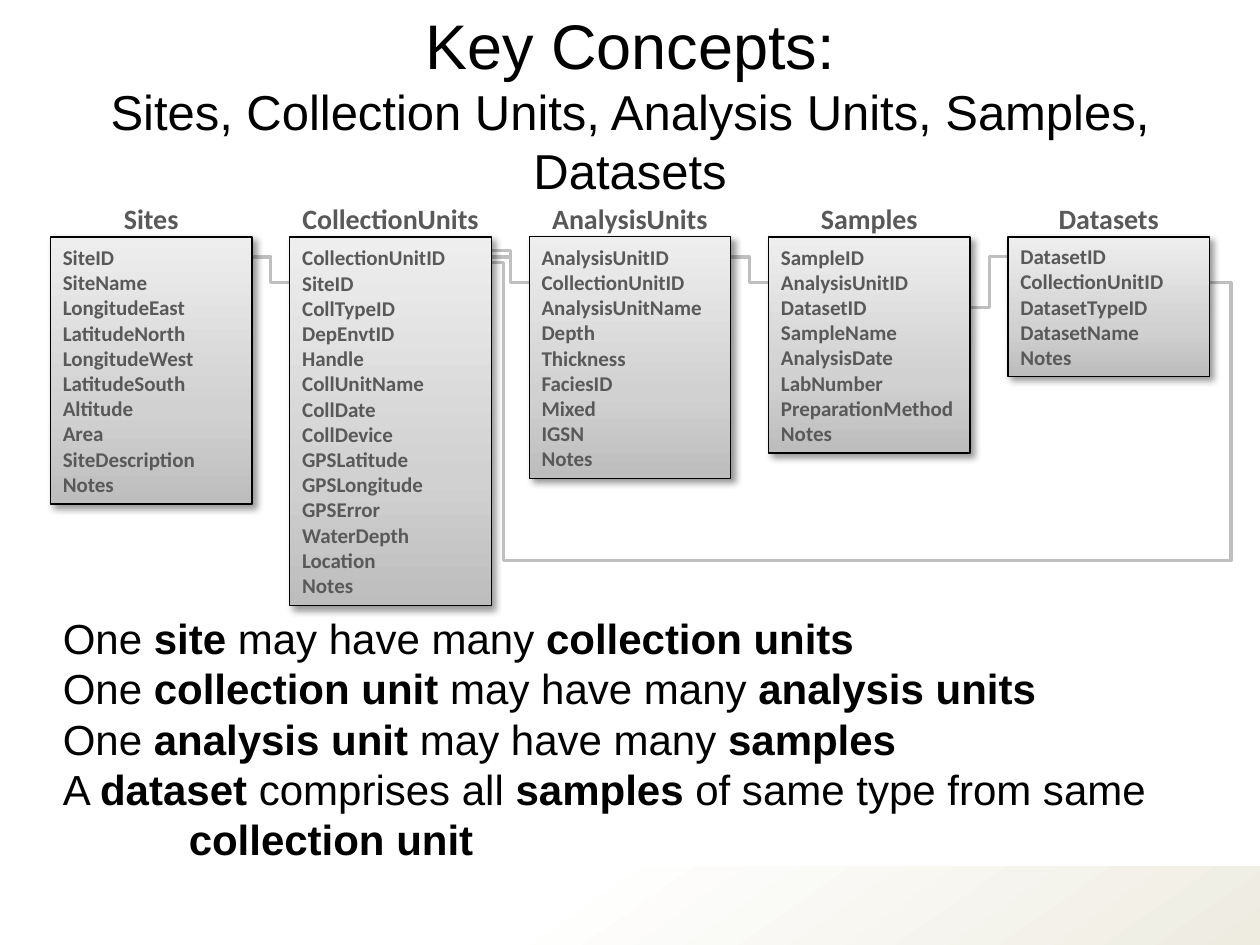
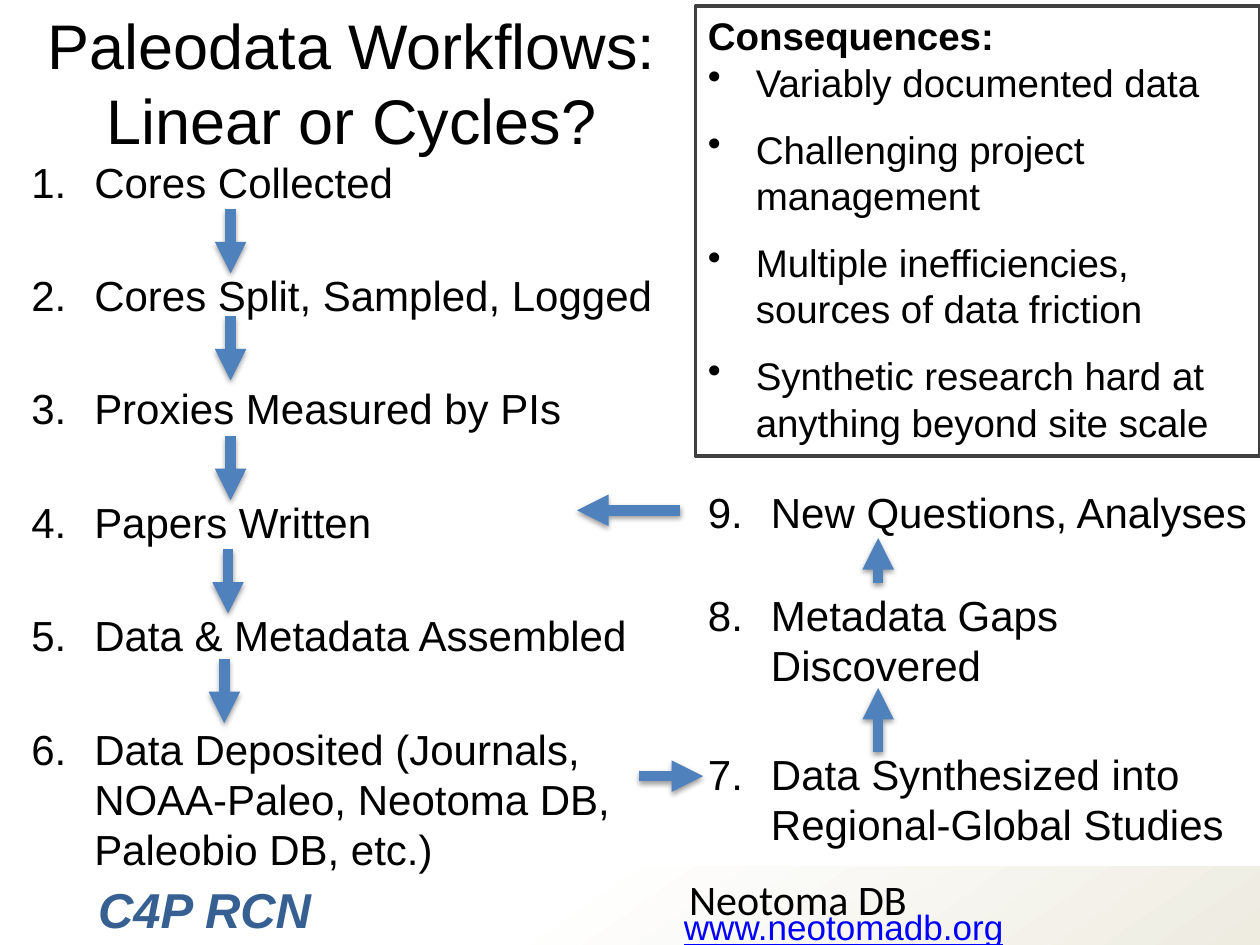
from pptx import Presentation
from pptx.dml.color import RGBColor
from pptx.enum.shapes import MSO_CONNECTOR, MSO_SHAPE
from pptx.enum.text import MSO_ANCHOR, MSO_AUTO_SIZE, PP_ALIGN
from pptx.oxml import parse_xml
from pptx.oxml.ns import nsdecls, qn
from pptx.util import Inches, Pt

RECTANGLE = MSO_SHAPE.RECTANGLE
ELBOW, STRAIGHT = MSO_CONNECTOR.ELBOW, MSO_CONNECTOR.STRAIGHT
TOP, MIDDLE = MSO_ANCHOR.TOP, MSO_ANCHOR.MIDDLE
LEFT, CENTER = PP_ALIGN.LEFT, PP_ALIGN.CENTER
FIT_SHAPE, NO_FIT = MSO_AUTO_SIZE.SHAPE_TO_FIT_TEXT, MSO_AUTO_SIZE.NONE

COLORS = {
    "text": "000000", "field": "595959", "link": "BFBFBF", "frame": "404040",
    "arrow": "4F81BD", "project": "376092", "url": "0000FF",
}
BAND_STOPS = [(43, "FFFFFF"), (100, "EEECE1")]
TABLE_STOPS = [(0, "BDBDBD"), (35, "D1D1D1"), (100, "EEEEEE")]

TABLES = [
    ("Sites", "SiteID SiteName LongitudeEast LatitudeNorth LongitudeWest "
     "LatitudeSouth Altitude Area SiteDescription Notes"),
    ("CollectionUnits", "CollectionUnitID SiteID CollTypeID DepEnvtID Handle "
     "CollUnitName CollDate CollDevice GPSLatitude GPSLongitude GPSError "
     "WaterDepth Location Notes"),
    ("AnalysisUnits", "AnalysisUnitID CollectionUnitID AnalysisUnitName Depth "
     "Thickness FaciesID Mixed IGSN Notes"),
    ("Samples", "SampleID AnalysisUnitID DatasetID SampleName AnalysisDate "
     "LabNumber PreparationMethod Notes"),
    ("Datasets", "DatasetID CollectionUnitID DatasetTypeID DatasetName Notes"),
]
# Table on the left, its row, row in the next table, shift of the start
LINKS = [(1, 0, 1, 0), (3, 2, 0, 0), (2, 0, 1, 0), (1, 0, 1, -0.05), (0, 0, 1, 0)]
RELATIONSHIPS = [
    "One *site* may have many *collection units*",
    "One *collection unit *may have many *analysis units*",
    "One *analysis unit* may have many *samples*",
    "A *dataset* comprises all *samples* of same type from same *collection unit*",
]
STEPS = [
    "Cores Collected", "Cores Split, Sampled, Logged", "Proxies Measured by PIs",
    "Papers Written", "Data & Metadata Assembled",
    "Data Deposited (Journals, NOAA-Paleo, Neotoma DB, Paleobio DB, etc.)",
]
CONSEQUENCES = [
    "Variably documented data", "Challenging project management",
    "Multiple inefficiencies, sources of data friction",
    "Synthetic research hard at anything beyond site scale",
]


def rgb(name):
    return RGBColor.from_string(COLORS[name])


def format_run(run, size, color="text", font="Arial", bold=False):
    run.font.name = font
    run.font.size = Pt(size)
    run.font.bold = bold
    run.font.color.rgb = rgb(color)


def write(text_frame, lines, size, color="text", font="Arial", bold=False, align=LEFT):
    """Write one paragraph a line; parts between asterisks switch the bold."""
    text_frame.auto_size = FIT_SHAPE
    for index, line in enumerate(lines):
        paragraph = text_frame.paragraphs[0] if index == 0 else text_frame.add_paragraph()
        paragraph.alignment = align
        for part_index, part in enumerate(line.split("*")):
            if part:
                run = paragraph.add_run()
                run.text = part
                format_run(run, size, color, font, bold != (part_index % 2 == 1))


def add_text(slide, box, lines, size, wrap=True, **style):
    text_box = slide.shapes.add_textbox(*map(Inches, box))
    text_box.text_frame.word_wrap = wrap
    write(text_box.text_frame, lines, size, **style)
    return text_box.text_frame


def hang(paragraph, indent, marker=None, space_after=None):
    """Give a hanging indent, with an optional bullet element as XML."""
    properties = paragraph._p.get_or_add_pPr()
    properties.set("marL", str(Inches(indent)))
    properties.set("indent", str(-Inches(indent)))
    if marker:
        properties.append(parse_xml(marker))
    if space_after is not None:
        paragraph.space_after = Pt(space_after)


def set_gradient(shape, stops, angle):
    shape.fill.gradient()
    stop_xml = "".join(
        f'<a:gs pos="{position * 1000}"><a:srgbClr val="{color}"/></a:gs>'
        for position, color in stops)
    gradient = parse_xml(
        f'<a:gradFill {nsdecls("a")} rotWithShape="1"><a:gsLst>{stop_xml}</a:gsLst>'
        f'<a:lin ang="{angle * 60000}" scaled="0"/></a:gradFill>')
    properties = shape._element.spPr
    properties.replace(properties.find(qn("a:gradFill")), gradient)


def set_effects(shape, shadow=None):
    """Replace the theme shadow by (opacity, blur, distance, angle) or by none."""
    properties = shape._element.spPr
    effects = properties.find(qn("a:effectLst"))
    if effects is not None:
        properties.remove(effects)
    content = ""
    if shadow:
        opacity, blur, distance, angle = shadow
        content = (
            f'<a:outerShdw blurRad="{Pt(blur)}" dist="{Pt(distance)}" '
            f'dir="{angle * 60000}" rotWithShape="0"><a:srgbClr val="000000">'
            f'<a:alpha val="{opacity * 1000}"/></a:srgbClr></a:outerShdw>')
    properties.append(parse_xml(f'<a:effectLst {nsdecls("a")}>{content}</a:effectLst>'))


def set_line(shape, color, width):
    shape.line.color.rgb = rgb(color)
    shape.line.width = Pt(width)


def add_connector(slide, kind, start, end, color, width, shadow=None):
    connector = slide.shapes.add_connector(kind, *map(Inches, (*start, *end)))
    set_line(connector, color, width)
    set_effects(connector, shadow)
    return connector


def add_arrow(slide, start, end):
    arrow = add_connector(slide, STRAIGHT, start, end, "arrow", 6, (38, 3.1, 1.6, 90))
    arrow.line._get_or_add_ln().append(
        parse_xml(f'<a:tailEnd {nsdecls("a")} type="triangle"/>'))


def add_master_band(presentation, slide):
    """Make the footer band once and move it to the slide master."""
    band = slide.shapes.add_shape(RECTANGLE, *map(Inches, (0, 6.88, 10, 0.62)))
    set_gradient(band, BAND_STOPS, 55)
    band.line.fill.background()
    set_effects(band)
    presentation.slide_master.shapes._spTree.insert(2, band._element)


def add_title(slide, box, text, sizes):
    title = slide.shapes.title
    title.left, title.top, title.width, title.height = map(Inches, box)
    text_frame = title.text_frame
    text_frame.word_wrap = True
    text_frame.auto_size = NO_FIT
    text_frame.vertical_anchor = TOP
    paragraph = text_frame.paragraphs[0]
    paragraph.text = text
    paragraph.alignment = CENTER
    for run, size in zip(paragraph.runs, sizes):
        format_run(run, size)


def add_polyline(slide, points):
    builder = slide.shapes.build_freeform(*map(Inches, points[0]), scale=1.0)
    builder.add_line_segments([tuple(map(Inches, point)) for point in points[1:]], close=False)
    line = builder.convert_to_shape()
    line.fill.background()
    set_line(line, "link", 1.75)
    set_effects(line)


def add_schema(slide, left, top):
    """Draw the linked tables, with the top left corner of the first one given."""
    width, pitch, row_height, inset = 1.6, 1.9, 0.2, 0.06

    def row_middle(row):
        return top + inset + (row + 0.5) * row_height

    first_row = row_middle(0)
    route, outer, bottom = left + 3.6, left + 9.37, top + 2.57
    dataset_key = row_middle(1)
    add_polyline(slide, [(route - 0.2, first_row + 0.04), (route, first_row + 0.04),
                         (route, dataset_key + 0.06)])
    add_polyline(slide, [(outer - 0.2, dataset_key), (outer, dataset_key),
                         (outer, bottom), (route, bottom), (route, dataset_key)])
    for table, start_row, end_row, shift in LINKS:
        start_x = left + table * pitch + width - 0.04
        end_x = left + (table + 1) * pitch + 0.04
        add_connector(slide, ELBOW, (start_x, row_middle(start_row) + shift),
                      (end_x, row_middle(end_row)), "link", 1.75)

    for index, (name, fields) in enumerate(TABLES):
        fields = fields.split()
        x = left + index * pitch
        height = 0.1 + len(fields) * 0.202
        table = slide.shapes.add_shape(RECTANGLE, *map(Inches, (x, top, width, height)))
        set_gradient(table, TABLE_STOPS, 270)
        set_line(table, "text", 0.75)
        set_effects(table, (40, 4, 3, 45))
        table.text_frame.word_wrap = True
        table.text_frame.vertical_anchor = MIDDLE
        write(table.text_frame, fields, 12, "field", "Calibri", True)
        add_text(slide, (x, top - 0.33, width, 0.37), [name], 16, wrap=False,
                 color="field", font="Calibri", bold=True, align=CENTER)


def add_relationships(slide, box):
    for paragraph in add_text(slide, box, RELATIONSHIPS, 24).paragraphs:
        hang(paragraph, 1)


def add_steps(slide, box, steps, start=1, wrap=True):
    marker = f'<a:buAutoNum {nsdecls("a")} type="arabicPeriod" startAt="{start}"/>'
    for paragraph in add_text(slide, box, steps, 24, wrap).paragraphs:
        hang(paragraph, 0.5, marker, 36)


def add_consequences(slide, box):
    frame = slide.shapes.add_shape(RECTANGLE, *map(Inches, box))
    frame.fill.background()
    set_line(frame, "frame", 2.25)
    set_effects(frame)
    frame.text_frame.word_wrap = True
    frame.text_frame.vertical_anchor = TOP
    write(frame.text_frame, ["*Consequences:*", *CONSEQUENCES], 22)
    for paragraph in frame.text_frame.paragraphs[1:]:
        hang(paragraph, 0.38, f'<a:buChar {nsdecls("a")} char="•"/>', 12)


def add_linear_workflow(slide, left, top):
    add_steps(slide, (left, top, 5.37, 5.86), STEPS)
    arrows = [(1.68, 0.47), (1.68, 1.32), (1.68, 2.27), (1.66, 3.17), (1.63, 4.04)]
    for x, y in arrows:
        add_arrow(slide, (left + x, top + y), (left + x, top + y + 0.51))


def add_return_cycle(slide, left, top):
    """Place steps 9 to 7 from the top down, with the arrows leading back up."""
    add_steps(slide, (left, top + 2.08, 4.42, 0.91),
              ["Data Synthesized into Regional-Global Studies"], 7)
    add_steps(slide, (left, top, 4.53, 0.5), ["New Questions, Analyses"], 9, wrap=False)
    add_steps(slide, (left, top + 0.82, 4.42, 0.91), ["Metadata Gaps Discovered"], 8)
    arrows = [((-0.45, 2.35), (0.06, 2.35)), ((1.45, 2.16), (1.45, 1.65)),
              ((1.45, 0.82), (1.45, 0.46)), ((-0.12, 0.24), (-0.94, 0.24))]
    for start, end in arrows:
        add_arrow(slide, (left + start[0], top + start[1]), (left + end[0], top + end[1]))


def add_credits(slide, left, top):
    add_text(slide, (left + 4.69, top, 2.08, 0.5), ["Neotoma DB"], 24,
             wrap=False, font="Calibri")
    address = add_text(slide, (left + 4.65, top + 0.26, 2.76, 0.44),
                       ["www.neotomadb.org"], 20, wrap=False, color="url")
    address.paragraphs[0].runs[0].font.underline = True
    project = add_text(slide, (left, top + 0.05, 4.65, 0.57), ["C4P RCN"], 28,
                       color="project", bold=True)
    project.paragraphs[0].runs[0].font.italic = True


def build_concepts_slide(slide):
    add_title(slide, (0, 0, 10, 0.67),
              "Key Concepts:\vSites, Collection Units, Analysis Units, Samples, Datasets",
              (36, 28))
    add_schema(slide, 0.4, 1.88)
    add_relationships(slide, (0.4, 4.81, 9.6, 2.12))


def build_workflow_slide(slide):
    add_title(slide, (0, 0, 5.58, 1.19), "Paleodata Workflows: Linear or Cycles?", (36,))
    add_linear_workflow(slide, 0.15, 1.19)
    add_consequences(slide, (5.52, 0.05, 4.48, 3.57))
    add_return_cycle(slide, 5.52, 3.81)
    add_credits(slide, 0.68, 6.88)


def main():
    presentation = Presentation()
    presentation.slide_width, presentation.slide_height = Inches(10), Inches(7.5)
    title_only = presentation.slide_layouts[5]
    concepts_slide = presentation.slides.add_slide(title_only)
    add_master_band(presentation, concepts_slide)
    build_concepts_slide(concepts_slide)
    build_workflow_slide(presentation.slides.add_slide(title_only))
    presentation.save("out.pptx")


if __name__ == "__main__":
    main()
